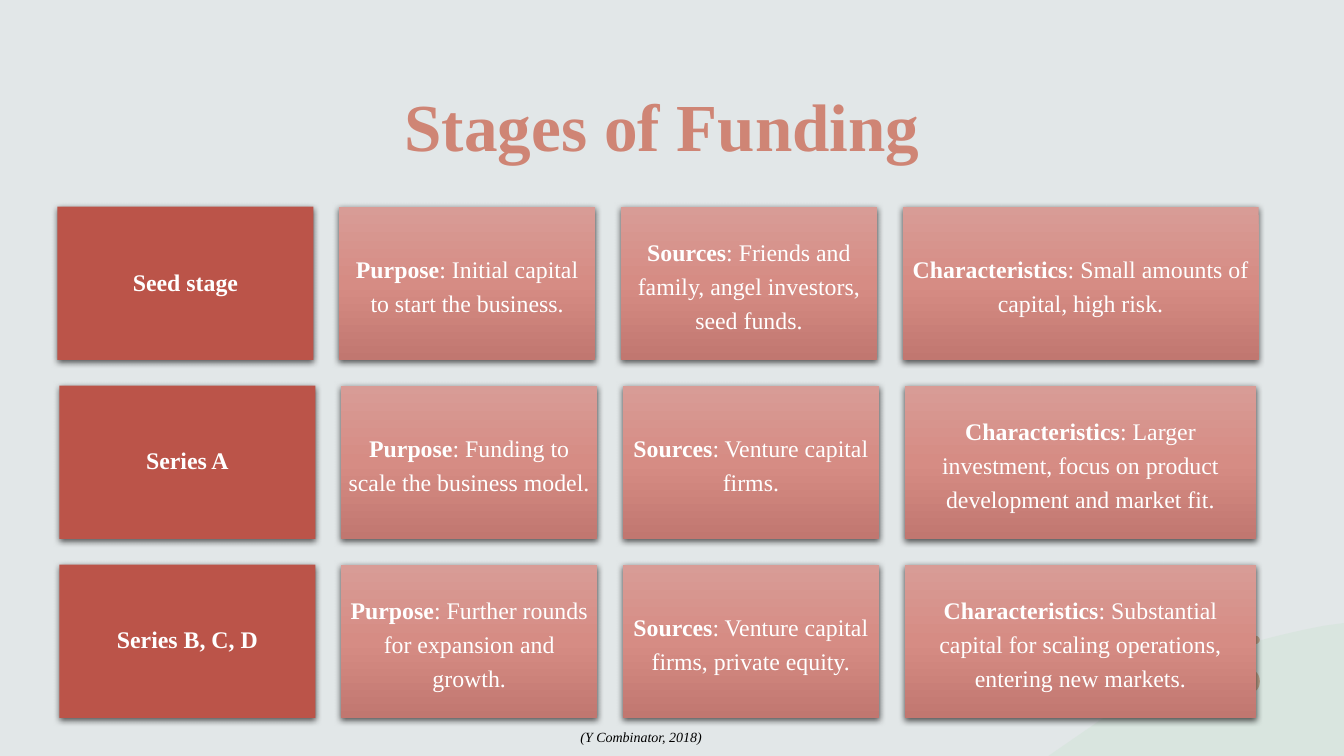
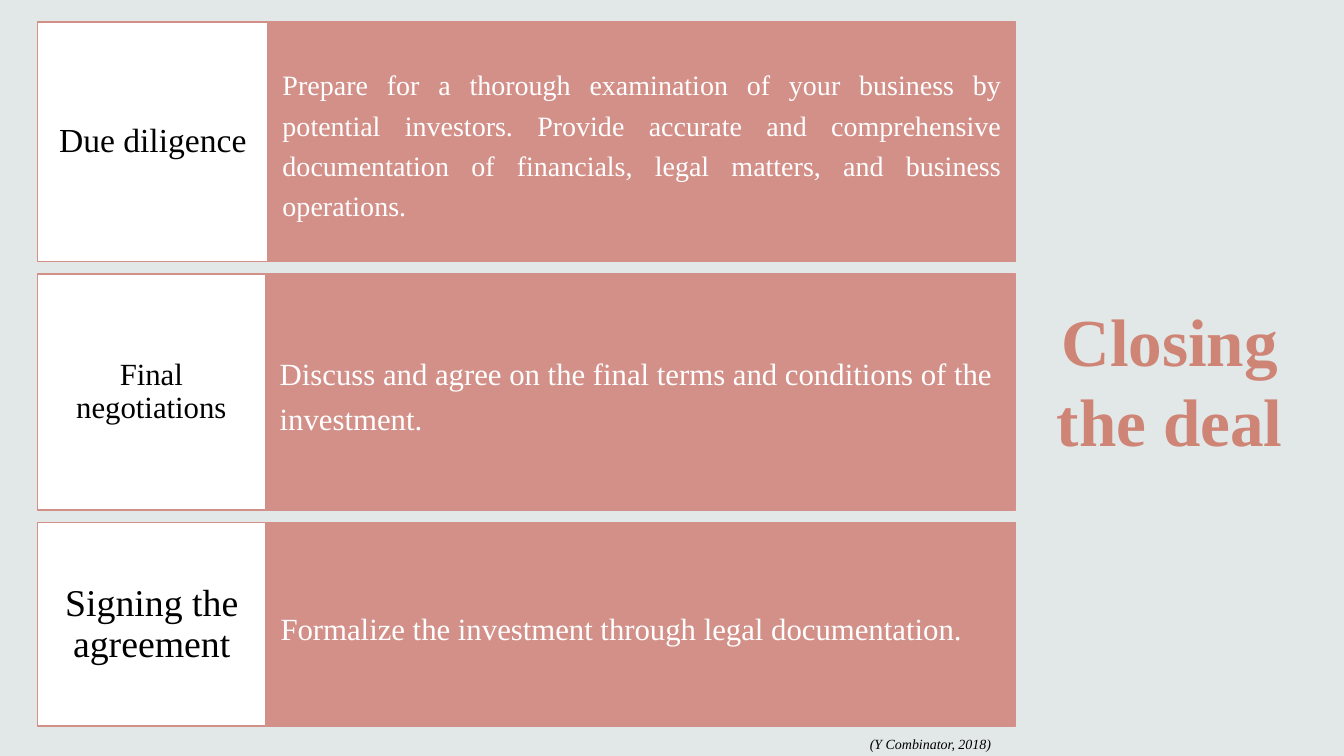
"""Build two slides on startup funding: the funding stages and closing the deal."""
import copy
import dataclasses
import typing

import lxml.etree
import pptx
import pptx.dml.color
import pptx.enum.shapes
import pptx.enum.text
import pptx.oxml.ns
import pptx.util

Cm = pptx.util.Cm
Align = pptx.enum.text.PP_ALIGN
Anchor = pptx.enum.text.MSO_ANCHOR
Preset = pptx.enum.shapes.MSO_SHAPE
qn = pptx.oxml.ns.qn

FONT = "Times New Roman"
PAPER, WHITE, BLACK = "E2E7E8", "FFFFFF", "000000"
TITLE, BRICK, ROSE = "CF8575", "BB5449", "D39089"
HILL, PEBBLE = "BFE0C5", "C5AD94"
CARD_GRADIENT = ("D89C96", "D68C84", "C17770")
CITATION = "(Y Combinator, 2018)"

PAGE_WIDTH, PAGE_HEIGHT = 33.87, 19.05
CARD_TOP, CARD_WIDTH, CARD_HEIGHT, CARD_GAP = 5.21, 6.45, 3.86, 0.65
BAND_LEFT, BAND_RIGHT, BAND_TOP, BAND_GAP = 0.94, 25.6, 0.56, 0.32


class Frame(typing.NamedTuple):
    left: float
    top: float
    width: float
    height: float


@dataclasses.dataclass(frozen=True)
class TextStyle:
    size: float
    color: str
    align: Align = Align.CENTER
    anchor: Anchor = Anchor.MIDDLE
    spacing: float = 1.0
    bold: bool = False
    italic: bool = False
    inset_x: float = 0.25
    inset_y: float = 0.13


@dataclasses.dataclass(frozen=True)
class Stage:
    name: str
    purpose: str
    sources: str
    characteristics: str
    left: float = 1.5
    last_width: float = 8.86


@dataclasses.dataclass(frozen=True)
class Step:
    name: str
    detail: str
    height: float
    divider: float
    name_size: float
    detail_size: float = 22
    align: Align = Align.LEFT


STAGES = (
    Stage("Seed stage", "Initial capital to start the business.",
          "Friends and family, angel investors, seed funds.",
          "Small amounts of capital, high risk.", left=1.45, last_width=8.97),
    Stage("Series A", "Funding to scale the business model.",
          "Venture capital firms.",
          "Larger investment, focus on product development and market fit."),
    Stage("Series B, C, D", "Further rounds for expansion and growth.",
          "Venture capital firms, private equity.",
          "Substantial capital for scaling operations, entering new markets."),
)
STEPS = (
    Step("Due diligence",
         "Prepare for a thorough examination of your business by potential "
         "investors. Provide accurate and comprehensive documentation of "
         "financials, legal matters, and business operations.",
         6.03, 6.76, 24, 20, Align.JUSTIFY),
    Step("Final negotiations",
         "Discuss and agree on the final terms and conditions of the investment.",
         5.94, 6.69, 22),
    Step("Signing the agreement",
         "Formalize the investment through legal documentation.",
         5.13, 6.71, 27),
)
PEBBLES = (Frame(31.34, 16.89, 0.41, 0.56), Frame(31.52, 16.02, 0.23, 0.21))

TITLE_STYLE = TextStyle(48, TITLE, anchor=Anchor.BOTTOM, bold=True)
CITATION_STYLE = TextStyle(10, BLACK, Align.LEFT, Anchor.TOP, italic=True, inset_y=0.25)
STAGE_STYLE = TextStyle(17, WHITE, spacing=0.9, bold=True, inset_x=0.18, inset_y=0.18)
CARD_STYLE = dataclasses.replace(STAGE_STYLE, spacing=1.2, bold=False)
STEP_STYLE = TextStyle(24, BLACK, spacing=0.9, inset_y=0.51)
DETAIL_STYLE = TextStyle(22, WHITE, spacing=1.2, inset_x=0.36, inset_y=1.3)


def rgb(color: str) -> pptx.dml.color.RGBColor:
    """Turn a hex string into a colour."""
    return pptx.dml.color.RGBColor.from_string(color)


def lengths(frame: Frame) -> list[pptx.util.Length]:
    """Give the four measures of a frame as lengths."""
    return [Cm(value) for value in frame]


def write(box, text: str, style: TextStyle, lead: str = "") -> None:
    """Write one styled paragraph, with an optional bold lead."""
    frame = box.text_frame
    frame.text = lead or text
    frame.word_wrap = True
    frame.auto_size = pptx.enum.text.MSO_AUTO_SIZE.NONE
    frame.vertical_anchor = style.anchor
    frame.margin_left = frame.margin_right = Cm(style.inset_x)
    frame.margin_top = frame.margin_bottom = Cm(style.inset_y)
    para = frame.paragraphs[0]
    para.alignment = style.align
    para.line_spacing = style.spacing
    if lead:
        para.add_run().text = text
    for index, span in enumerate(para.runs):
        span.font.name = FONT
        span.font.size = pptx.util.Pt(style.size)
        span.font.color.rgb = rgb(style.color)
        span.font.bold = style.bold or (bool(lead) and index == 0)
        span.font.italic = style.italic


def add_panel(page, frame: Frame, fill: str, line: str = "", preset: Preset = Preset.RECTANGLE):
    """Draw a flat filled shape, outlined when a line colour is given."""
    panel = page.shapes.add_shape(preset, *lengths(frame))
    panel.shadow.inherit = False
    panel.fill.solid()
    panel.fill.fore_color.rgb = rgb(fill)
    if line:
        panel.line.color.rgb = rgb(line)
        panel.line.width = pptx.util.Pt(1)
    else:
        panel.line.fill.background()
    return panel


def add_shadow(panel) -> None:
    """Cast a soft shadow straight below a panel."""
    effects = panel.element.spPr.find(qn("a:effectLst"))
    shadow = lxml.etree.SubElement(
        effects, qn("a:outerShdw"), blurRad="57150", dist="19050",
        dir="5400000", algn="ctr", rotWithShape="0")
    color = lxml.etree.SubElement(shadow, qn("a:srgbClr"), val=BLACK)
    lxml.etree.SubElement(color, qn("a:alpha"), val="63000")


def add_gradient(panel, colors: tuple[str, str, str]) -> None:
    """Fill a panel with three colours from top to bottom."""
    panel.fill.gradient()
    panel.fill.gradient_angle = 270
    stops = panel.element.spPr.find(".//" + qn("a:gsLst"))
    stops.insert(1, copy.deepcopy(stops[0]))
    for index, (stop, color) in enumerate(zip(panel.fill.gradient_stops, colors)):
        stop.position = index / 2
        stop.color.rgb = rgb(color)


def curve(points: tuple, steps: int = 24) -> list[tuple[float, float]]:
    """Sample a cubic curve given by its four control points."""
    samples = []
    for step in range(steps + 1):
        t = step / steps
        weights = ((1 - t) ** 3, 3 * t * (1 - t) ** 2, 3 * t * t * (1 - t), t ** 3)
        samples.append(tuple(
            sum(weight * point[axis] for weight, point in zip(weights, points))
            for axis in (0, 1)))
    return samples


def add_hill(page) -> None:
    """Draw the translucent hill in the lower right corner."""
    slope = curve(((33.35, 15.77), (31.67, 16.1), (29.87, 16.59), (28.45, 17.65)))
    outline = [*slope, (26.42, PAGE_HEIGHT), (PAGE_WIDTH, PAGE_HEIGHT)]
    builder = page.shapes.build_freeform(Cm(PAGE_WIDTH), Cm(15.7))
    builder.add_line_segments([(Cm(x), Cm(y)) for x, y in outline], close=True)
    hill = builder.convert_to_shape()
    hill.shadow.inherit = False
    hill.fill.solid()
    hill.fill.fore_color.rgb = rgb(HILL)
    hill.line.fill.background()
    color = hill.element.spPr.find(qn("a:solidFill")).find(qn("a:srgbClr"))
    lxml.etree.SubElement(color, qn("a:alpha"), val="25000")


def add_page(deck, title: str, frame: Frame):
    """Add a page and set its title in the given frame."""
    page = deck.slides.add_slide(deck.slide_layouts[5])
    box = page.shapes.title
    box.left, box.top, box.width, box.height = lengths(frame)
    write(box, title, TITLE_STYLE)
    return page


def add_citation(page, left: float, top: float) -> None:
    """Add the source line at the foot of a page."""
    box = page.shapes.add_textbox(*lengths(Frame(left, top, 8.33, 0.94)))
    write(box, CITATION, CITATION_STYLE)


def add_stage(page, stage: Stage, top: float) -> None:
    """Draw one row of cards for a funding stage."""
    cells = (("", stage.name), ("Purpose", stage.purpose), ("Sources", stage.sources),
             ("Characteristics", stage.characteristics))
    for column, (lead, text) in enumerate(cells):
        left = stage.left + column * (CARD_WIDTH + CARD_GAP)
        width = stage.last_width if column == len(cells) - 1 else CARD_WIDTH
        card = add_panel(page, Frame(left, top, width, CARD_HEIGHT), BRICK)
        add_shadow(card)
        if lead:
            add_gradient(card, CARD_GRADIENT)
            write(card, f": {text}", CARD_STYLE, lead)
        else:
            write(card, text, STAGE_STYLE)


def add_step(page, step: Step, top: float) -> None:
    """Draw one band with a step's name and detail."""
    detail = add_panel(
        page, Frame(step.divider, top, BAND_RIGHT - step.divider, step.height), ROSE, ROSE)
    write(detail, step.detail,
          dataclasses.replace(DETAIL_STYLE, size=step.detail_size, align=step.align))
    label = add_panel(
        page, Frame(BAND_LEFT, top, step.divider - BAND_LEFT, step.height), WHITE, ROSE)
    write(label, step.name, dataclasses.replace(STEP_STYLE, size=step.name_size))


def build_stages(deck) -> None:
    """Build the page of funding stages."""
    page = add_page(deck, "Stages of Funding", Frame(1.52, 0.3, 30.33, 3.99))
    add_hill(page)
    for pebble in PEBBLES:
        add_panel(page, pebble, PEBBLE, preset=Preset.OVAL)
    for row, stage in enumerate(STAGES):
        add_stage(page, stage, CARD_TOP + row * (CARD_HEIGHT + CARD_GAP))
    add_citation(page, 14.38, 18.11)


def build_closing(deck) -> None:
    """Build the page on closing the deal."""
    page = add_page(deck, "Closing the deal", Frame(25.96, 3.4, 7.04, 8.33))
    top = BAND_TOP
    for step in STEPS:
        add_step(page, step, top)
        top += step.height + BAND_GAP
    add_citation(page, 21.67, 18.29)


def main() -> None:
    """Build and save the deck."""
    deck = pptx.Presentation()
    deck.slide_width, deck.slide_height = Cm(PAGE_WIDTH), Cm(PAGE_HEIGHT)
    backdrop = deck.slide_master.background.fill
    backdrop.solid()
    backdrop.fore_color.rgb = rgb(PAPER)
    build_stages(deck)
    build_closing(deck)
    deck.save("out.pptx")


if __name__ == "__main__":
    main()
